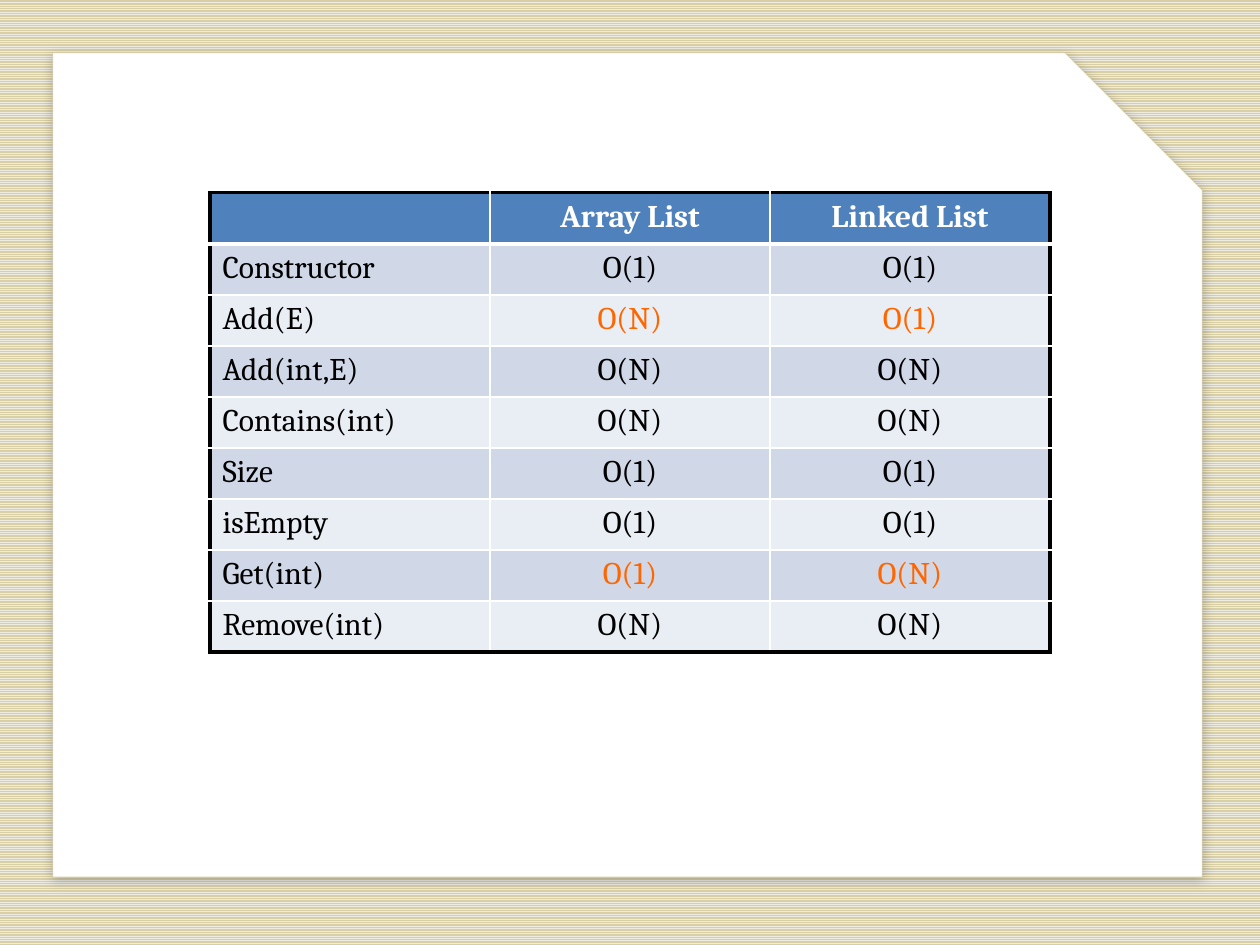
from lxml.etree import SubElement
from pptx import Presentation
from pptx.dml.color import RGBColor
from pptx.enum.dml import MSO_PATTERN
from pptx.enum.shapes import MSO_SHAPE
from pptx.enum.text import PP_ALIGN
from pptx.oxml.ns import qn
from pptx.util import Inches, Pt

# Content: one row per operation; the flag marks rows where the lists differ
HEADER = ("", "Array List", "Linked List")
OPERATIONS = [
    ("Constructor", "O(1)", "O(1)", False),
    ("Add(E)", "O(N)", "O(1)", True),
    ("Add(int,E)", "O(N)", "O(N)", False),
    ("Contains(int)", "O(N)", "O(N)", False),
    ("Size", "O(1)", "O(1)", False),
    ("isEmpty", "O(1)", "O(1)", False),
    ("Get(int)", "O(1)", "O(N)", True),
    ("Remove(int)", "O(N)", "O(N)", False),
]
FONT = "Cambria"
WHITE, BLACK, ORANGE, SAND = "FFFFFF", "000000", "FF6600", "D8CFA7"
HEADER_FILL, BAND_FILLS = "4F81BD", ("E9EDF4", "D0D8E8")
OUTER, INNER, HEADER_RULE = (BLACK, 2.25), (WHITE, 1), (WHITE, 3)

WIDTH, HEIGHT = 10, 7.5
TABLE_LEFT, TABLE_TOP = WIDTH / 6, 1.53
TABLE_WIDTH, ROW_HEIGHT = WIDTH * 2 / 3, 0.405


def color(value):
    return RGBColor.from_string(value)


def add_element(parent, tag, **attributes):
    return SubElement(parent, qn(tag), {k: str(v) for k, v in attributes.items()})


def set_border(cell, side, border):
    value, points = border
    line = add_element(cell._tc.get_or_add_tcPr(), f"a:ln{side}", w=Pt(points))
    add_element(add_element(line, "a:solidFill"), "a:srgbClr", val=value)


def fill_cell(cell, text, fill, text_color, bold, alignment, borders):
    for side, border in borders.items():
        set_border(cell, side, border)
    cell.fill.solid()
    cell.fill.fore_color.rgb = color(fill)
    paragraph = cell.text_frame.paragraphs[0]
    paragraph.alignment = alignment
    if text:
        run = paragraph.add_run()
        run.text = text
        run.font.name, run.font.size, run.font.bold = FONT, Pt(18), bold
        run.font.color.rgb = color(text_color)


presentation = Presentation()
presentation.slide_width, presentation.slide_height = Inches(WIDTH), Inches(HEIGHT)
slide = presentation.slides.add_slide(presentation.slide_layouts[6])

# Striped background
background = slide.background.fill
background.patterned()
background.pattern = MSO_PATTERN.NARROW_HORIZONTAL
background.fore_color.rgb = color("EEECE1")
background.back_color.rgb = color(SAND)

# White sheet with a cut corner and a soft shadow
sheet = slide.shapes.add_shape(MSO_SHAPE.SNIP_1_RECTANGLE, Inches(0.42), Inches(0.42),
                               Inches(9.12), Inches(6.54))
sheet.adjustments[0] = 1 / 6
sheet.fill.solid()
sheet.fill.fore_color.rgb = color(WHITE)
sheet.line.color.rgb = color(SAND)
sheet.line.width = Pt(0.25)
sheet.shadow.inherit = False
effects = sheet._element.spPr.find(qn("a:effectLst"))
shadow = add_element(effects, "a:outerShdw", blurRad=Pt(6), dist=Pt(2),
                     dir=80 * 60000, algn="tl", rotWithShape=0)
add_element(add_element(shadow, "a:srgbClr", val=BLACK), "a:alpha", val=22000)

# Table of running times
rows = [HEADER] + [row[:3] for row in OPERATIONS]
last_row, last_column = len(rows) - 1, len(HEADER) - 1
table = slide.shapes.add_table(len(rows), len(HEADER), Inches(TABLE_LEFT), Inches(TABLE_TOP),
                               Inches(TABLE_WIDTH), Inches(ROW_HEIGHT * len(rows))).table
for r, row in enumerate(rows):
    is_header = r == 0
    differs = not is_header and OPERATIONS[r - 1][3]
    for c, text in enumerate(row):
        borders = {
            "L": OUTER if c == 0 else INNER,
            "R": OUTER if c == last_column else INNER,
            "T": OUTER if is_header else HEADER_RULE if r == 1 else INNER,
            "B": OUTER if r == last_row else HEADER_RULE if is_header else INNER,
        }
        fill_cell(table.cell(r, c), text,
                  fill=HEADER_FILL if is_header else BAND_FILLS[r % 2],
                  text_color=WHITE if is_header else ORANGE if differs and c else BLACK,
                  bold=is_header,
                  alignment=PP_ALIGN.CENTER if c else PP_ALIGN.LEFT,
                  borders=borders)

presentation.save("out.pptx")
